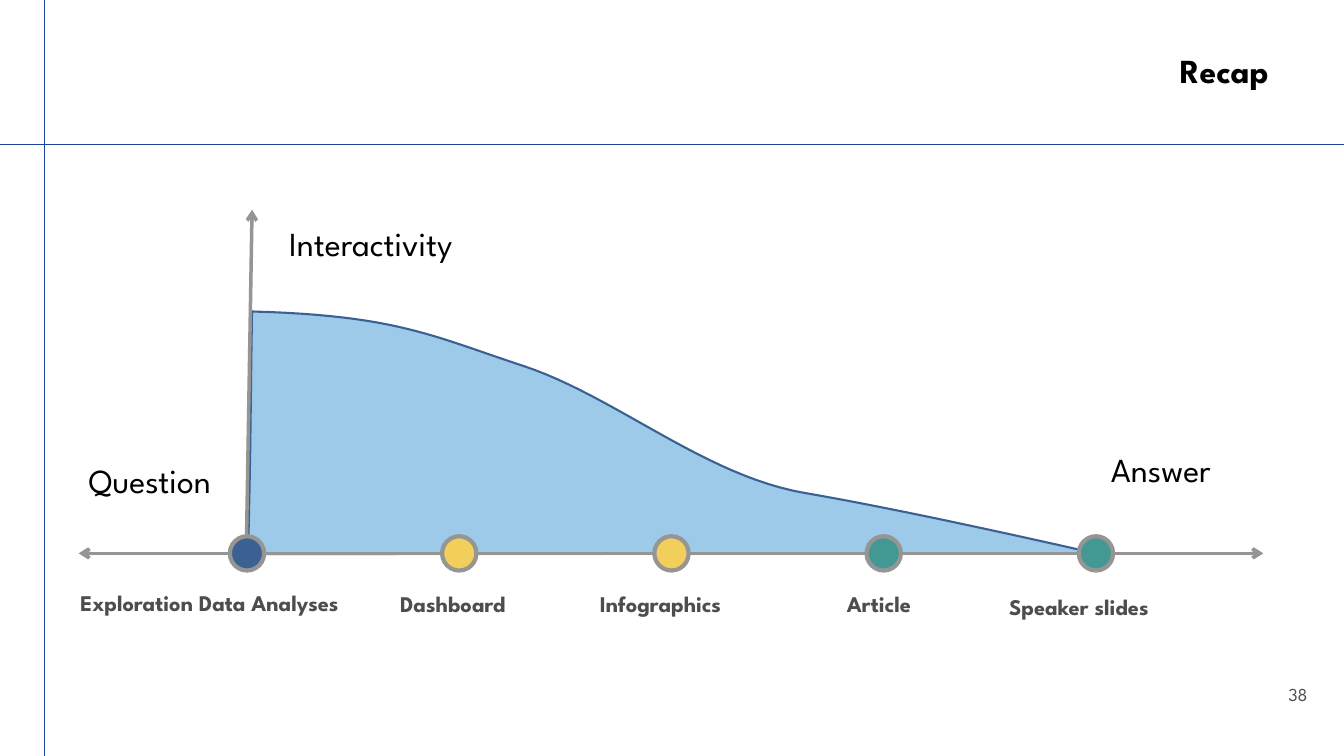
from lxml import etree
from pptx import Presentation
from pptx.dml.color import RGBColor
from pptx.enum.dml import MSO_LINE
from pptx.enum.shapes import MSO_CONNECTOR, MSO_SHAPE
from pptx.enum.text import MSO_ANCHOR, PP_ALIGN
from pptx.oxml.ns import qn
from pptx.util import Inches, Pt

STRAIGHT = MSO_CONNECTOR.STRAIGHT
OVAL = MSO_SHAPE.OVAL
DOTTED = MSO_LINE.ROUND_DOT
MIDDLE = MSO_ANCHOR.MIDDLE
LEFT, RIGHT = PP_ALIGN.LEFT, PP_ALIGN.RIGHT

WIDTH, HEIGHT = 13.33, 7.5
FONT = "League Spartan"
BLACK, DARK, GREY = "000000", "4D4D4C", "959593"
RULE_BLUE, NAVY, SKY = "1D44A1", "3B6193", "9ECAE9"
YELLOW, TEAL = "F2CF5B", "439894"

DOT_SIZE = 0.34
CURVE_STEPS = 24

# Stage name, dot colour, label box measured from the chart's left and axis
STAGES = [
    ("Exploration Data Analyses", NAVY, (-0.08, 0.26, 3.26, 0.48)),
    ("Dashboard", YELLOW, (3.09, 0.28, 1.78, 0.46)),
    ("Infographics", YELLOW, (5.07, 0.28, 1.78, 0.46)),
    ("Article", TEAL, (7.52, 0.28, 0.95, 0.46)),
    ("Speaker slides", TEAL, (9.13, 0.3, 1.86, 0.48)),
]

# Axis titles, measured from the chart's left and top
AXIS_TITLES = [
    ("Answer", (10.14, 2.35, 1.5, 0.49)),
    ("Question", (0, 2.46, 1.79, 0.49)),
    ("Interactivity", (1.99, 0.11, 3.11, 0.49)),
]

# Start of the area and its Bezier pieces, measured from the chart's left and top
AREA_START = (1.68, 3.43)
AREA_CURVES = [
    ((1.71, 2.21), (1.7, 2.34), (1.72, 1.01)),
    ((3.15, 1.05), (3.5, 1.25), (4.41, 1.55)),
    ((5.32, 1.85), (6.21, 2.64), (7.2, 2.81)),
    ((8.19, 2.98), (9.65, 3.31), (10.13, 3.42)),
]


def color(value):
    return RGBColor.from_string(value)


def add_text(page, box, text, size=16, ink=DARK, bold=False, align=LEFT, spacing=0.9):
    frame = page.shapes.add_textbox(*map(Inches, box)).text_frame
    frame.word_wrap = True
    frame.vertical_anchor = MIDDLE
    para = frame.paragraphs[0]
    para.alignment = align
    para.line_spacing = spacing
    span = para.add_run()
    span.text = text
    span.font.name = FONT
    span.font.size = Pt(size)
    span.font.bold = bold
    span.font.color.rgb = color(ink)


def add_line(page, start, end, ink, weight, dash=None, arrows=False):
    line = page.shapes.add_connector(STRAIGHT, *map(Inches, start + end))
    line.line.color.rgb = color(ink)
    line.line.width = Pt(weight)
    if dash:
        line.line.dash_style = dash
    if arrows:
        outline = line.line._get_or_add_ln()
        for tag in ("a:headEnd", "a:tailEnd"):
            etree.SubElement(outline, qn(tag), type="arrow")
    etree.SubElement(line._element.spPr, qn("a:effectLst"))


def style_shape(shape, fill, ink, weight):
    shape.shadow.inherit = False
    shape.fill.solid()
    shape.fill.fore_color.rgb = color(fill)
    shape.line.color.rgb = color(ink)
    shape.line.width = Pt(weight)


def bezier(start, first, second, end, share):
    rest = 1 - share
    weights = (rest**3, 3 * rest**2 * share, 3 * rest * share**2, share**3)
    return tuple(
        sum(weight * value for weight, value in zip(weights, values))
        for values in zip(start, first, second, end)
    )


def add_frame(page, width, height):
    """Guide lines, title and page number."""
    rule_x, rule_y = 0.44, 1.43
    add_line(page, (0, rule_y), (width, rule_y), RULE_BLUE, 0.25, dash=DOTTED)
    add_line(page, (rule_x, 0), (rule_x, height), RULE_BLUE, 0.25, dash=DOTTED)
    add_text(page, (1.73, 0.48, 10.95, 0.48), "Recap",
             size=24, ink=BLACK, bold=True, align=RIGHT)
    add_text(page, (12.68, 6.76, 0.57, 0.26), "38", size=13, spacing=1.0)


def add_area(page, left, top):
    """Filled area under the interactivity curve."""
    points = [AREA_START]
    for first, second, end in AREA_CURVES:
        start = points[-1]
        points += [bezier(start, first, second, end, step / CURVE_STEPS)
                   for step in range(1, CURVE_STEPS + 1)]
    corners = [(Inches(left + x), Inches(top + y)) for x, y in points]
    builder = page.shapes.build_freeform(*corners[0])
    builder.add_line_segments(corners[1:], close=False)
    style_shape(builder.convert_to_shape(), SKY, NAVY, 1.5)


def add_spectrum(page, left, top, width, height):
    """Area, axes, dots and labels from question to answer."""
    axis_y = top + height
    add_area(page, left, top)

    # Axes
    add_line(page, (left + 1.72, top), (left + 1.66, axis_y + 0.16),
             GREY, 2.5, arrows=True)
    add_line(page, (left, axis_y), (left + width, axis_y), GREY, 2.5, arrows=True)

    # Stages at equal gaps along the axis
    first_dot, gap = left + 1.5, 2.105
    for index, (name, fill, (x, y, label_width, label_height)) in enumerate(STAGES):
        box = (first_dot + index * gap, axis_y - DOT_SIZE / 2, DOT_SIZE, DOT_SIZE)
        dot = page.shapes.add_shape(OVAL, *map(Inches, box))
        style_shape(dot, fill, GREY, 3)
        add_text(page, (left + x, axis_y + y, label_width, label_height),
                 name, bold=True)

    # Axis titles
    for text, (x, y, title_width, title_height) in AXIS_TITLES:
        add_text(page, (left + x, top + y, title_width, title_height),
                 text, size=24, ink=BLACK)


def main():
    deck = Presentation()
    deck.slide_width, deck.slide_height = Inches(WIDTH), Inches(HEIGHT)
    page = deck.slides.add_slide(deck.slide_layouts[6])
    add_frame(page, WIDTH, HEIGHT)
    add_spectrum(page, 0.78, 2.08, 11.75, 3.41)
    deck.save("out.pptx")


if __name__ == "__main__":
    main()
